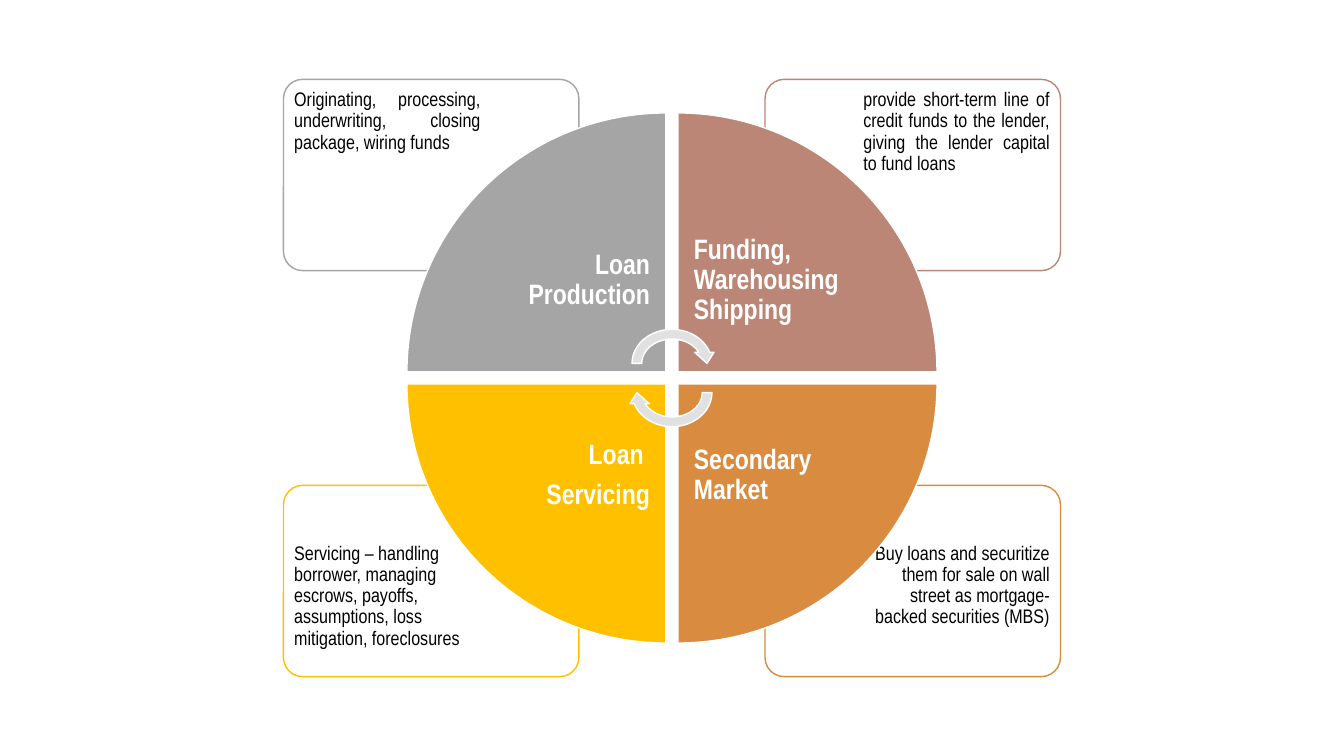
from lxml.etree import SubElement
from pptx import Presentation
from pptx.dml.color import RGBColor
from pptx.enum.shapes import MSO_SHAPE as Shape
from pptx.enum.text import MSO_ANCHOR as Anchor, PP_ALIGN as Align
from pptx.oxml.ns import qn
from pptx.util import Pt


def color(value):
    """Turn a hex string into a colour."""
    return RGBColor.from_string(value)


def write(box, text, size=14, ink="000000", bold=False, align=Align.LEFT,
          anchor=Anchor.TOP, inset=4.4, after=2.1, font="Arial Narrow"):
    """Write formatted paragraphs, one for each line of text."""
    frame = box.text_frame
    frame.word_wrap = True
    frame.vertical_anchor = anchor
    frame.margin_left = frame.margin_right = Pt(inset)
    frame.margin_top = frame.margin_bottom = Pt(inset)
    frame.text = text
    for paragraph in frame.paragraphs:
        paragraph.alignment = align
        paragraph.line_spacing = 0.9
        paragraph.space_after = Pt(after)
        paragraph.font.name = font
        paragraph.font.size = Pt(size)
        paragraph.font.bold = bold
        paragraph.font.color.rgb = color(ink)


class LoanCycle:
    """Hold the style and slide, and draw parts mirrored about its centre."""

    center_x, center_y = 480, 270
    white, arrow_gray = "FFFFFF", "E1E1E1"

    def __init__(self, slide):
        """Keep the slide to draw on."""
        self.slide = slide

    def place(self, side, near, size):
        """Give the box that lies near the centre on one side of each axis."""
        corner = [center + gap if sign > 0 else center - gap - length
                  for center, sign, gap, length in
                  zip((self.center_x, self.center_y), side, near, size)]
        return [Pt(length) for length in (*corner, *size)]

    def shape(self, kind, box, fill, line, rotation=0):
        """Draw a filled and outlined preset shape."""
        shape = self.slide.shapes.add_shape(kind, *box)
        shape.shadow.inherit = False
        shape.rotation = rotation
        shape.fill.solid()
        shape.fill.fore_color.rgb = color(fill)
        shape.line.color.rgb = color(line)
        shape.line.width = Pt(1)
        return shape

    def card(self, side, line):
        """Draw the slightly transparent rounded card of a stage."""
        box = self.place(side, (66.5, 76.7), (211, 136.6))
        card = self.shape(Shape.ROUNDED_RECTANGLE, box, self.white, line)
        card.adjustments[0] = 0.1
        fill = card.fill._xPr.find(qn("a:solidFill"))
        SubElement(fill[0], qn("a:alpha")).set("val", "90000")

    def text(self, box, text, **style):
        """Add a text box."""
        write(self.slide.shapes.add_textbox(*box), text, **style)

    def detail(self, side, text, align):
        """Write the description at the outer edge of a card."""
        self.text(self.place(side, (132.3, 113.7), (142, 96.5)), text, align=align)

    def wedge(self, side, fill, rotation):
        """Draw a quarter of the wheel."""
        box = self.place(side, (4.3, 4.3), (185, 185))
        self.shape(Shape.PIE_WEDGE, box, fill, self.white, rotation)

    def label(self, side, text):
        """Write the stage name beside the centre of the wheel."""
        align = Align.RIGHT if side[0] < 0 else Align.LEFT
        self.text(self.place(side, (4.3, 4.3), (130.5, 130.5)), text, size=20,
                  ink=self.white, bold=True, align=align,
                  anchor=Anchor.MIDDLE, inset=11.4, after=7)

    def arrow(self, top, rotation):
        """Draw a curved arrow over the centre."""
        box = [Pt(length) for length in (self.center_x - 32, top, 64, 55.6)]
        self.shape(Shape.CIRCULAR_ARROW, box, self.arrow_gray, self.white, rotation)


STAGES = [
    ((-1, -1), "A5A5A5", "Loan Production", Align.JUSTIFY,
     "Originating, processing, underwriting, closing package, wiring funds"),
    ((1, -1), "BB8676", "Funding, Warehousing\vShipping", Align.JUSTIFY,
     "provide short-term line of credit funds to the lender, "
     "giving the lender capital to fund loans"),
    ((1, 1), "D98B3F", "Secondary Market", Align.RIGHT,
     "Buy loans and securitize them for sale on wall street "
     "as mortgage-backed securities (MBS)"),
    ((-1, 1), "FFC000", "Loan \nServicing", Align.LEFT,
     "Servicing – handling borrower, managing escrows, payoffs, "
     "assumptions, loss mitigation, foreclosures"),
]


def main():
    """Build and save the slide."""
    deck = Presentation()
    deck.slide_width, deck.slide_height = Pt(960), Pt(540)
    cycle = LoanCycle(deck.slides.add_slide(deck.slide_layouts[6]))
    for side, tint, name, align, description in STAGES:
        cycle.card(side, tint)
        cycle.detail(side, description, align)
    for quarter, (side, tint, name, align, description) in enumerate(STAGES):
        cycle.wedge(side, tint, 90 * quarter)
        cycle.label(side, name)
    cycle.arrow(231.8, 0)
    cycle.arrow(252.6, 180)
    deck.save("out.pptx")


if __name__ == "__main__":
    main()
